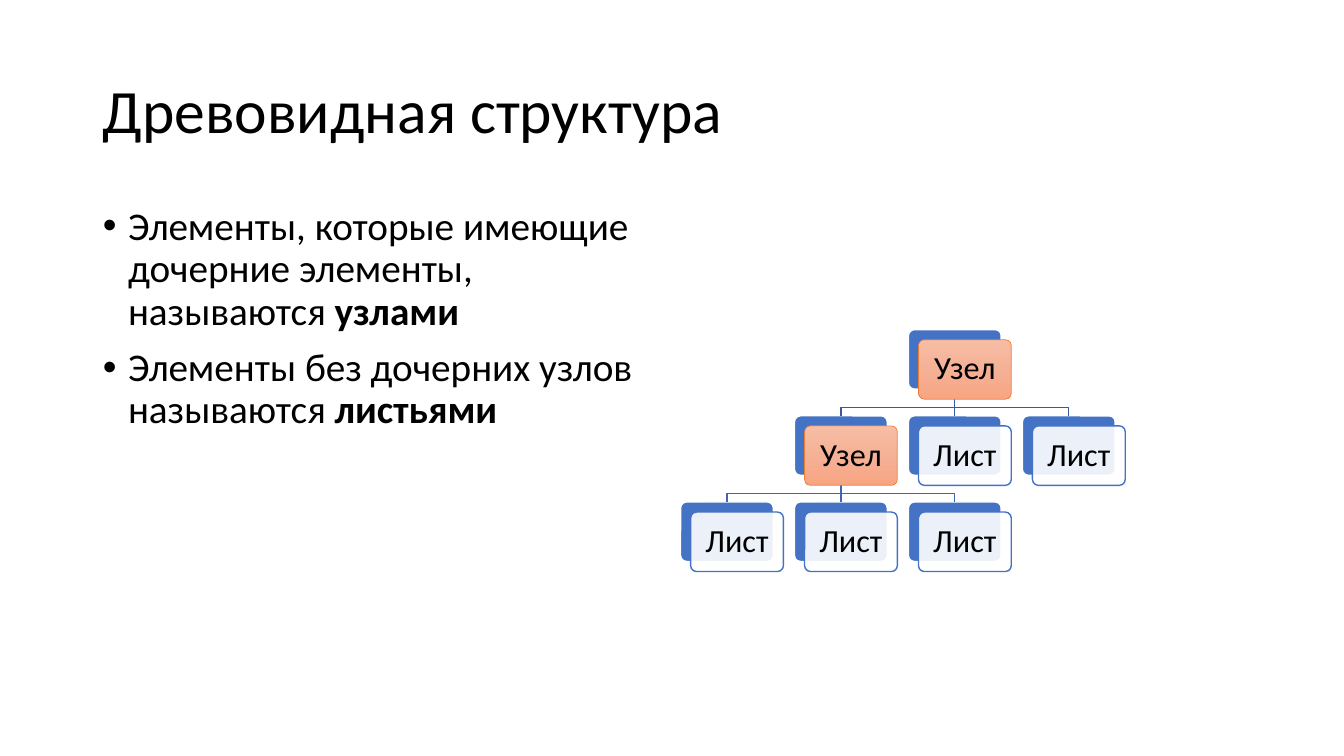
from copy import deepcopy

from lxml import etree
from pptx import Presentation
from pptx.dml.color import RGBColor
from pptx.enum.shapes import MSO_CONNECTOR, MSO_SHAPE
from pptx.enum.text import MSO_ANCHOR, MSO_AUTO_SIZE, PP_ALIGN
from pptx.oxml.ns import qn
from pptx.util import Inches, Pt

ROUNDED = MSO_SHAPE.ROUNDED_RECTANGLE
STRAIGHT = MSO_CONNECTOR.STRAIGHT
MIDDLE, TOP = MSO_ANCHOR.MIDDLE, MSO_ANCHOR.TOP
LEFT, CENTER = PP_ALIGN.LEFT, PP_ALIGN.CENTER
NO_AUTOFIT = MSO_AUTO_SIZE.NONE

BLACK = RGBColor(0x00, 0x00, 0x00)
WHITE = RGBColor(0xFF, 0xFF, 0xFF)
BLUE = RGBColor(0x44, 0x72, 0xC4)
ORANGE = RGBColor(0xED, 0x7D, 0x31)
UPPER_LINK = RGBColor(0x36, 0x5B, 0x9D)
LOWER_LINK = RGBColor(0x3E, 0x67, 0xB2)
NODE_GRADIENT = [
    (0, RGBColor(0xF7, 0xBD, 0xA5)),
    (0.5, RGBColor(0xF5, 0xB1, 0x96)),
    (1, RGBColor(0xF8, 0xA5, 0x82)),
]

TREE_LEFT, TREE_TOP = 6.75, 3.27
COLUMN_STEP, ROW_STEP = 1.13, 0.855
CARD_WIDTH, CARD_HEIGHT, CARD_SHIFT = 0.92, 0.59, 0.1
BEND_DROP = 0.18
NODE, LEAF = "Узел", "Лист"
# (row, column): label
TREE = {
    (0, 2): NODE,
    (1, 1): NODE, (1, 2): LEAF, (1, 3): LEAF,
    (2, 0): LEAF, (2, 1): LEAF, (2, 2): LEAF,
}
# parent, children, line colour
BRANCHES = [
    ((0, 2), [(1, 1), (1, 2), (1, 3)], UPPER_LINK),
    ((1, 1), [(2, 0), (2, 1), (2, 2)], LOWER_LINK),
]


def style_text(para, size, align):
    para.font.name = "Calibri"
    para.font.size = Pt(size)
    para.font.color.rgb = BLACK
    para.alignment = align
    para.line_spacing = 0.9


def add_card(page, position, shift, line_color, line_width):
    """Add a rounded card at a (row, column) of the tree."""
    row, column = position
    card = page.shapes.add_shape(
        ROUNDED,
        Inches(TREE_LEFT + column * COLUMN_STEP + shift),
        Inches(TREE_TOP + row * ROW_STEP + shift),
        Inches(CARD_WIDTH), Inches(CARD_HEIGHT))
    card.adjustments[0] = 0.1
    card.shadow.inherit = False
    card.line.color.rgb = line_color
    card.line.width = Pt(line_width)
    return card


deck = Presentation()
deck.slide_width, deck.slide_height = Inches(13.33), Inches(7.5)
page = deck.slides.add_slide(deck.slide_layouts[1])

title = page.shapes.title
title.left, title.top = Inches(0.92), Inches(0.4)
title.width, title.height = Inches(11.5), Inches(1.45)
title.text_frame.text = "Древовидная структура"
title.text_frame.vertical_anchor = MIDDLE
title.text_frame.auto_size = NO_AUTOFIT
style_text(title.text_frame.paragraphs[0], 44, LEFT)

body = page.placeholders[1]
body.left, body.top = Inches(0.92), Inches(2)
body.width, body.height = Inches(5.67), Inches(4.76)
body.text_frame.text = "\n".join([
    "Элементы, которые имеющие дочерние элементы, называются ",
    "Элементы без дочерних узлов называются ",
])
body.text_frame.vertical_anchor = TOP
body.text_frame.auto_size = NO_AUTOFIT
for para, term in zip(body.text_frame.paragraphs, ["узлами", "листьями"]):
    span = para.add_run()
    span.text = term
    span.font.bold = True
    style_text(para, 28, LEFT)
    para.space_before = Pt(10)
    properties = para._p.get_or_add_pPr()
    properties.set("marL", str(Inches(0.25)))
    properties.set("indent", str(-Inches(0.25)))

back_cards = {}
for position in TREE:
    back = add_card(page, position, 0, WHITE, 1)
    back.fill.solid()
    back.fill.fore_color.rgb = BLUE
    back_cards[position] = back

for parent, children, color in BRANCHES:
    start = back_cards[parent]
    start_x = start.left + start.width // 2
    start_y = start.top + start.height
    bend_y = start_y + Inches(BEND_DROP)
    for child in children:
        end = back_cards[child]
        end_x = end.left + end.width // 2
        if child[1] == parent[1]:
            link = page.shapes.add_connector(STRAIGHT, start_x, start_y, end_x, end.top)
            link.begin_connect(start, 2)
            link.end_connect(end, 0)
            etree.SubElement(link._element.spPr, qn("a:effectLst"))
        else:
            outline = page.shapes.build_freeform(start_x, start_y)
            outline.add_line_segments(
                [(start_x, bend_y), (end_x, bend_y), (end_x, end.top)], close=False)
            link = outline.convert_to_shape()
            link.fill.background()
            link.shadow.inherit = False
        link.line.color.rgb = color
        link.line.width = Pt(1)

for position, label in TREE.items():
    if label == NODE:
        front = add_card(page, position, CARD_SHIFT, ORANGE, 0.5)
        front.fill.gradient()
        front.fill.gradient_angle = 270
        stop_list = front._element.spPr.find(qn("a:gradFill")).find(qn("a:gsLst"))
        stop_list.append(deepcopy(stop_list[0]))
        for stop, (place, color) in zip(front.fill.gradient_stops, NODE_GRADIENT):
            stop.position = place
            stop.color.rgb = color
    else:
        front = add_card(page, position, CARD_SHIFT, BLUE, 1)
        front.fill.solid()
        front.fill.fore_color.rgb = WHITE
        white = front._element.spPr.find(qn("a:solidFill"))[0]
        etree.SubElement(white, qn("a:alpha"), val="90000")
    frame = front.text_frame
    frame.text = label
    frame.word_wrap = False
    frame.vertical_anchor = MIDDLE
    frame.margin_left = frame.margin_right = Inches(0.1)
    frame.margin_top = frame.margin_bottom = Inches(0.1)
    style_text(frame.paragraphs[0], 23, CENTER)

deck.save("out.pptx")
